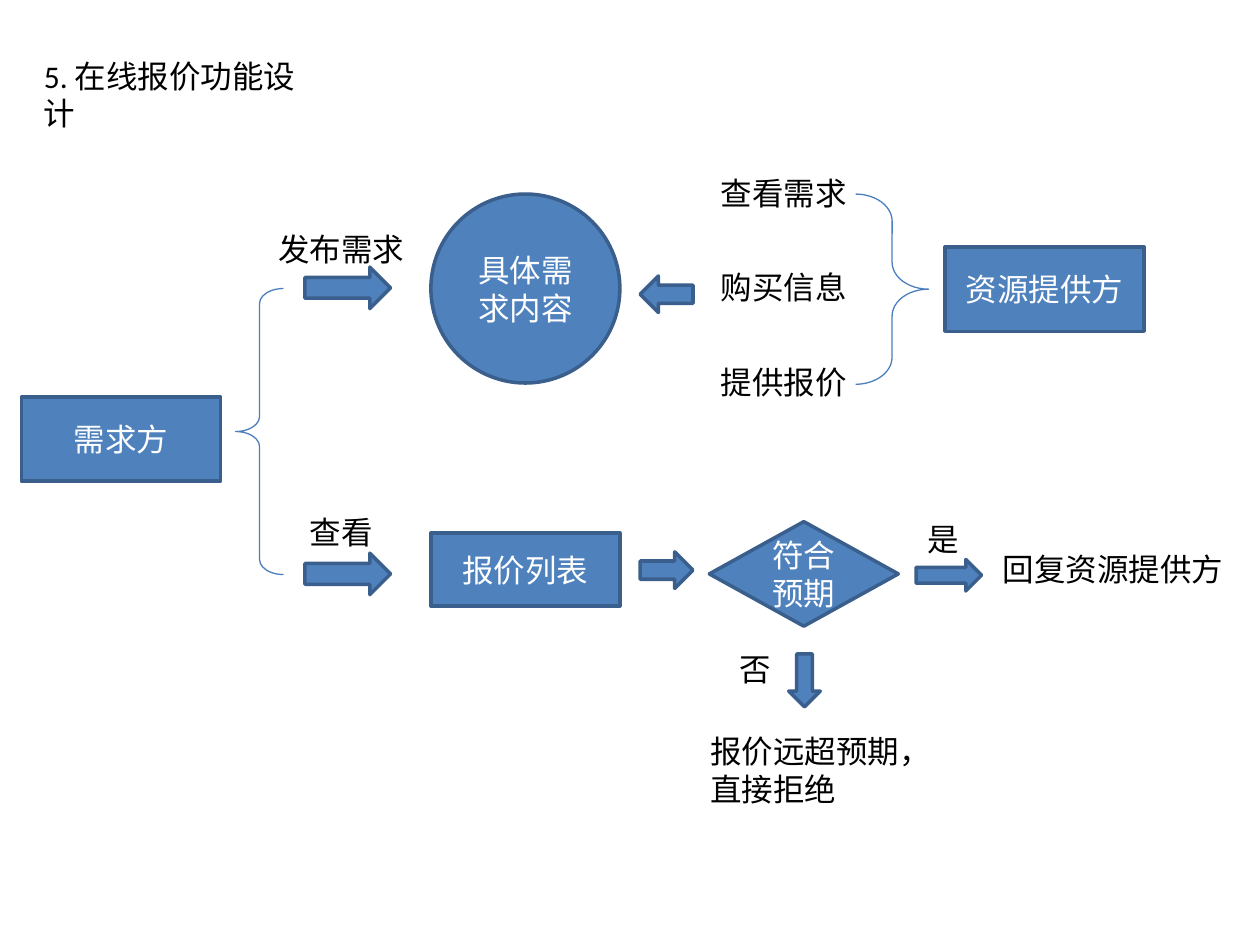
from pptx import Presentation
from pptx.dml.color import RGBColor
from pptx.enum import shapes, text
from pptx.util import Inches, Pt

COLORS = {"fill": "4F81BD", "edge": "3A5F8C", "brace": "4B7EBC", "ink": "000000", "white": "FFFFFF"}
FONT = "Calibri"
KIND = shapes.MSO_SHAPE


def write(tf, lines, color="ink", align=None, anchor=text.MSO_ANCHOR.TOP, wrap=False):
    """Write one paragraph per line into a text frame."""
    tf.word_wrap, tf.vertical_anchor = wrap, anchor
    for i, line in enumerate(lines.split("\n")):
        p = tf.add_paragraph() if i else tf.paragraphs[0]
        p.alignment = align
        r = p.add_run()
        r.text = line
        r.font.name, r.font.size = FONT, Pt(18)
        r.font.color.rgb = RGBColor.from_string(COLORS[color])


def label(s, x, y, w, words, h=0.4, wrap=False):
    """Add a plain text label."""
    box = s.shapes.add_textbox(Inches(x), Inches(y), Inches(w), Inches(h))
    write(box.text_frame, words, wrap=wrap)


def shape(s, kind, x, y, w, h, edge="edge", width=2):
    """Add an outlined preset shape without shadow."""
    sp = s.shapes.add_shape(kind, Inches(x), Inches(y), Inches(w), Inches(h))
    sp.shadow.inherit = False
    sp.line.color.rgb = RGBColor.from_string(COLORS[edge])
    sp.line.width = Pt(width)
    return sp


def node(s, kind, x, y, w, h, words=""):
    """Add a filled shape, with centred white words if given."""
    sp = shape(s, kind, x, y, w, h)
    sp.fill.solid()
    sp.fill.fore_color.rgb = RGBColor.from_string(COLORS["fill"])
    if words:
        write(sp.text_frame, words, color="white", align=text.PP_ALIGN.CENTER,
              anchor=text.MSO_ANCHOR.MIDDLE, wrap=True)
    return sp


def brace(s, kind, x, y, w, h, curve):
    """Add a thin unfilled brace."""
    sp = shape(s, kind, x, y, w, h, edge="brace", width=0.75)
    sp.fill.background()
    sp.adjustments[0] = curve


def demand_side(s, x, y):
    """Place the demander, its brace and its two actions."""
    node(s, KIND.RECTANGLE, x, y + 1.61, 1.58, 0.67, "需求方")
    brace(s, KIND.LEFT_BRACE, x + 1.7, y + 0.75, 0.38, 2.27, 0.313)
    for dy in (0.58, 2.85):
        node(s, KIND.RIGHT_ARROW, x + 2.25, y + dy, 0.68, 0.33)
    label(s, x + 1.94, y + 0.24, 1.21, "发布需求")
    label(s, x + 2.19, y + 2.48, 0.71, "查看")


def supply_side(s, x, y):
    """Place the demand circle, the provider and its three actions."""
    node(s, KIND.OVAL, x, y, 1.5, 1.5, "具体需\n求内容".replace("\n", ""))
    node(s, KIND.LEFT_ARROW, x + 1.66, y + 0.65, 0.42, 0.29)
    for i, words in enumerate(("查看需求", "购买信息", "提供报价")):
        label(s, x + 2.2, y - 0.21 + 0.75 * i, 1.21, words)
    brace(s, KIND.RIGHT_BRACE, x + 3.37, y, 0.58, 1.51, 0.369)
    node(s, KIND.RECTANGLE, x + 4.08, y + 0.42, 1.58, 0.67, "资源提供方")


def quote_review(s, x, y):
    """Place the quote list, the decision and its two outcomes."""
    node(s, KIND.RECTANGLE, x, y + 0.09, 1.5, 0.58, "报价列表")
    node(s, KIND.RIGHT_ARROW, x + 1.66, y + 0.24, 0.42, 0.29)
    node(s, KIND.DIAMOND, x + 2.21, y, 1.5, 0.83, "符合预期")
    node(s, KIND.RIGHT_ARROW, x + 3.85, y + 0.3, 0.52, 0.25)
    label(s, x + 3.84, y - 0.06, 0.45, "是")
    label(s, x + 4.44, y + 0.18, 1.97, "回复资源提供方")
    node(s, KIND.DOWN_ARROW, x + 2.84, y + 1.05, 0.25, 0.42)
    label(s, x + 2.35, y + 0.97, 0.45, "否")
    label(s, x + 2.12, y + 1.62, 1.97, "报价远超预期，\n直接拒绝", h=0.71)


def main():
    """Build the quoting flow slide."""
    prs = Presentation()
    prs.slide_width, prs.slide_height = Inches(10), Inches(7.5)
    s = prs.slides.add_slide(prs.slide_layouts[6])
    label(s, 0.25, 0.4, 2.4, "5. 在线报价功能设计", wrap=True)
    demand_side(s, 0.17, 1.54)
    supply_side(s, 3.42, 1.54)
    quote_review(s, 3.42, 4.14)
    prs.save("out.pptx")


if __name__ == "__main__":
    main()
